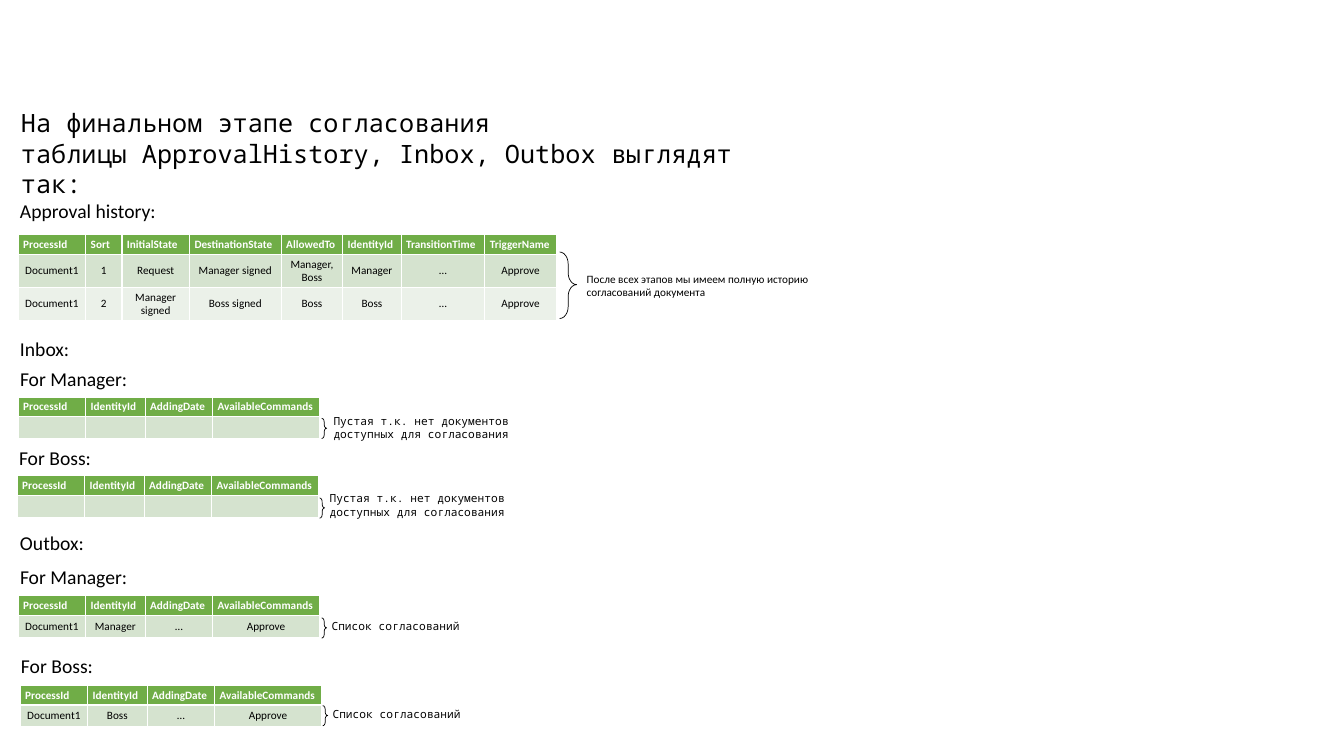
from pptx import Presentation
from pptx.dml.color import RGBColor
from pptx.enum.shapes import MSO_SHAPE
from pptx.enum.text import MSO_ANCHOR, MSO_AUTO_SIZE, PP_ALIGN
from pptx.util import Inches, Pt

BRACE = MSO_SHAPE.LEFT_BRACE
GROW = MSO_AUTO_SIZE.SHAPE_TO_FIT_TEXT
MIDDLE = MSO_ANCHOR.MIDDLE
CENTER = PP_ALIGN.CENTER
SANS = "Calibri"
MONO = "Noto Sans Mono"
NBSP = chr(160)

COLORS = {
    "ink": "000000",
    "white": "FFFFFF",
    "head": "70AD47",
    "odd": "D5E3CF",
    "even": "EBF1E9",
}

TITLE = "На финальном этапе согласования " + NBSP.join(
    ["таблицы", "ApprovalHistory,", "Inbox,", "Outbox", "выглядят", "так:", ""])
FULL = "После всех этапов мы имеем полную историю согласований документа"
EMPTY = "Пустая т.к. нет документов доступных для согласования"
LIST = "Список согласований"

LABELS = [
    ("Approval history:", 0.1, 1.92, 1.56),
    ("Inbox:", 0.1, 3.29, 0.7),
    ("For Manager:", 0.1, 3.59, 1.28),
    ("For Boss:", 0.09, 4.37, 0.92),
    ("Outbox:", 0.1, 5.22, 0.84),
    ("For Manager:", 0.1, 5.56, 1.28),
    ("For Boss:", 0.11, 6.44, 0.92),
]

HISTORY = [
    ["ProcessId", "Sort", "InitialState", "DestinationState",
     "AllowedTo", "IdentityId", "TransitionTime", "TriggerName"],
    ["Document1", "1", "Request", "Manager signed",
     "Manager, Boss", "Manager", "…", "Approve"],
    ["Document1", "2", "Manager signed", "Boss signed",
     "Boss", "Boss", "…", "Approve"],
]
HISTORY_COLS = [0.67, 0.36, 0.67, 0.91, 0.61, 0.58, 0.83, 0.71]

BOX_HEAD = ["ProcessId", "IdentityId", "AddingDate", "AvailableCommands"]
BOX_COLS = [0.67, 0.59, 0.67, 1.06]
BLANK = [""] * 4

BOXES = [
    (0.18, 3.94, BLANK, (3.19, 4.15), EMPTY, (3.21, 4.06, 2.44, 0.37)),
    (0.17, 4.72, BLANK, (3.17, 4.94), EMPTY, (3.17, 4.83, 2.08, 0.37)),
    (0.18, 5.91, ["Document1", "Manager", "…", "Approve"],
     (3.19, 6.13), LIST, (3.19, 6.1, 1.63, 0.24)),
    (0.2, 6.8, ["Document1", "Boss", "…", "Approve"],
     (3.2, 7), LIST, (3.2, 6.97, 1.63, 0.24)),
]


def rgb(name):
    """Return the named colour."""
    return RGBColor.from_string(COLORS[name])


def style(para, size, face, color="ink", bold=False):
    """Set the font of a paragraph."""
    font = para.font
    font.size = Pt(size)
    font.name = face
    font.bold = bold
    font.color.rgb = rgb(color)


def add_text(slide, text, spot, size, face, wrap=True):
    """Add a text box that grows with its text."""
    frame = slide.shapes.add_textbox(*map(Inches, spot)).text_frame
    frame.word_wrap = wrap
    frame.auto_size = GROW
    frame.text = text
    style(frame.paragraphs[0], size, face)


def add_brace(slide, left, top, width, height):
    """Add a thin brace that opens to the left."""
    brace = slide.shapes.add_shape(
        BRACE, *map(Inches, (left, top, width, height)))
    brace.rotation = 180
    brace.adjustments[0] = 0.69
    brace.adjustments[1] = 0.51
    brace.shadow.inherit = False
    brace.fill.background()
    brace.line.color.rgb = rgb("ink")
    brace.line.width = Pt(0.5)


def fill_cell(cell, text, row):
    """Write and colour one cell by its row."""
    cell.margin_left = cell.margin_right = Inches(0.05)
    cell.margin_top = cell.margin_bottom = Inches(0.03)
    cell.text = text
    cell.fill.solid()
    para = cell.text_frame.paragraphs[0]
    if row == 0:
        cell.fill.fore_color.rgb = rgb("head")
        style(para, 8, SANS, "white", True)
    else:
        cell.fill.fore_color.rgb = rgb("odd" if row % 2 else "even")
        cell.vertical_anchor = MIDDLE
        para.alignment = CENTER
        style(para, 8, SANS)


def add_grid(slide, left, top, cols, rows):
    """Add a table with a green header row."""
    tall = [0.13] + [0.22] * (len(rows) - 1)
    table = slide.shapes.add_table(
        len(rows), len(cols), Inches(left), Inches(top),
        Inches(sum(cols)), Inches(sum(tall))).table
    for col, width in zip(table.columns, cols):
        col.width = Inches(width)
    for r, texts in enumerate(rows):
        table.rows[r].height = Inches(tall[r])
        for c, text in enumerate(texts):
            fill_cell(table.cell(r, c), text, r)


def main():
    """Build the slide and save it."""
    deck = Presentation()
    deck.slide_width = Inches(13.33)
    deck.slide_height = Inches(7.5)
    slide = deck.slides.add_slide(deck.slide_layouts[6])

    add_text(slide, TITLE, (0.11, 1.02, 7.47, 0.71), 18, MONO)
    for text, left, top, width in LABELS:
        add_text(slide, text, (left, top, width, 0.34), 14, SANS, False)

    add_grid(slide, 0.18, 2.33, HISTORY_COLS, HISTORY)
    add_brace(slide, 5.55, 2.5, 0.17, 0.66)
    add_text(slide, FULL, (5.72, 2.65, 2.58, 0.37), 8, SANS)

    for left, top, row, brace, note, spot in BOXES:
        add_grid(slide, left, top, BOX_COLS, [BOX_HEAD, row])
        add_brace(slide, *brace, 0.05, 0.2)
        add_text(slide, note, spot, 8, MONO)

    deck.save("out.pptx")


if __name__ == "__main__":
    main()
